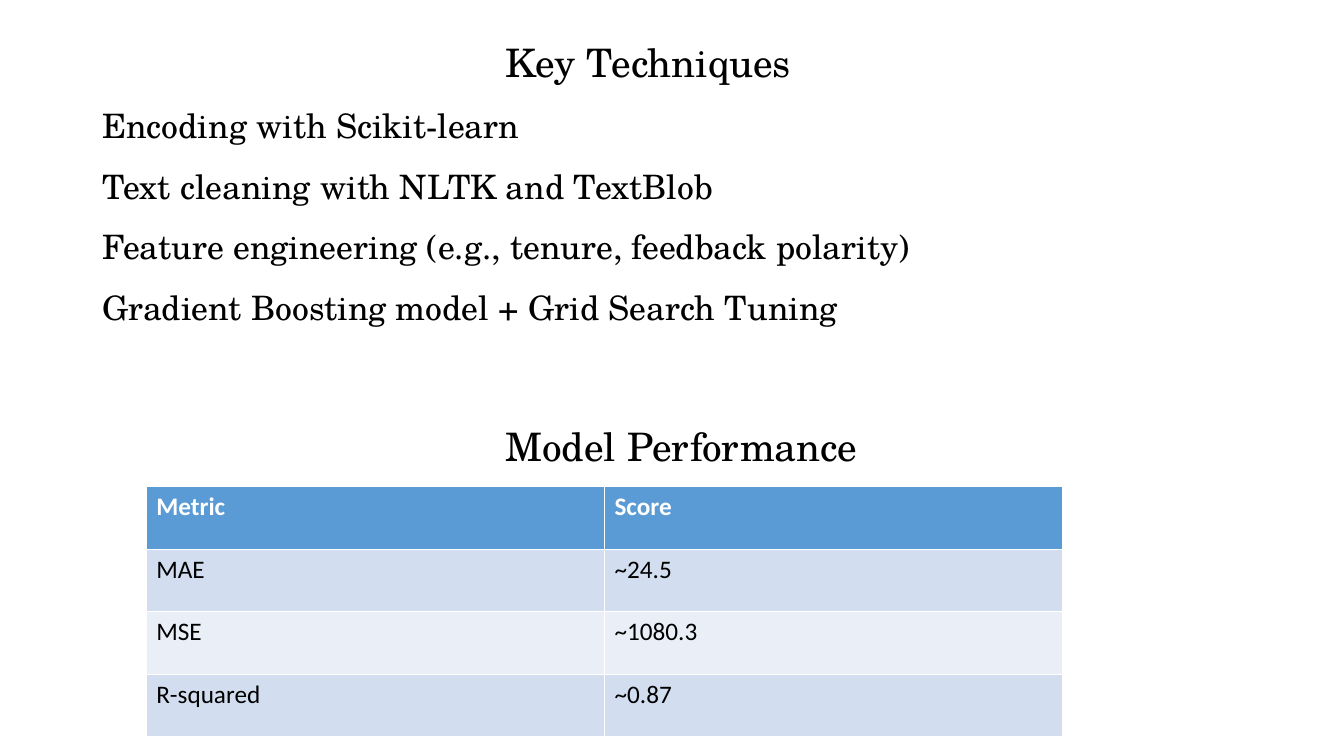
from pptx import Presentation
from pptx import util as u
from pptx.dml.color import RGBColor
from pptx.enum import text
from pptx.oxml.ns import qn
from lxml import etree

BLACK = RGBColor(0x00, 0x00, 0x00)
WHITE = RGBColor(0xFF, 0xFF, 0xFF)
HEADER_BLUE = RGBColor(0x5B, 0x9B, 0xD5)
BAND_DARK = RGBColor(0xD2, 0xDE, 0xEF)
BAND_LIGHT = RGBColor(0xEA, 0xEF, 0xF7)

TECHNIQUES = [
    "Encoding with Scikit-learn",
    "Text cleaning with NLTK and TextBlob",
    "Feature engineering (e.g., tenure, feedback polarity)",
    "Gradient Boosting model + Grid Search Tuning",
]
SCORES = [
    ("Metric", "Score"),
    ("MAE", "~24.5"),
    ("MSE", "~1080.3"),
    ("R-squared", "~0.87"),
]


class SlideBuilder:
    """Holds the style and current slide; lengths are percentages of the slide size."""

    serif, sans = "TeX Gyre Schola", "Calibri"
    heading_size, list_size, table_size = 28, 24, 18

    def __init__(self):
        self.deck = Presentation()
        self.deck.slide_width = u.Inches(13.33)
        self.deck.slide_height = u.Inches(7.5)
        self.page = self.deck.slides.add_slide(self.deck.slide_layouts[1])

    def area(self, left, top, width, height):
        across, down = self.deck.slide_width / 100, self.deck.slide_height / 100
        return [round(n) for n in (left * across, top * down, width * across, height * down)]

    def style(self, para, name, size, color, bold=False):
        font = para.font
        font.name, font.size, font.bold = name, u.Pt(size), bold
        font.color.rgb = color

    def fill_box(self, box, area, lines, size, gap=0):
        box.left, box.top, box.width, box.height = self.area(*area)
        frame = box.text_frame
        frame.text = "\n".join(lines)
        frame.word_wrap = True
        frame.auto_size = text.MSO_AUTO_SIZE.NONE
        frame.vertical_anchor = text.MSO_ANCHOR.TOP
        frame.margin_left = frame.margin_right = frame.margin_top = frame.margin_bottom = 0
        for para in frame.paragraphs:
            para.alignment = text.PP_ALIGN.LEFT
            para.line_spacing = 1.0
            para.space_before, para.space_after = u.Pt(0), u.Pt(gap)
            self.style(para, self.serif, size, BLACK)

    def title(self, area, line):
        self.fill_box(self.page.shapes.title, area, [line], self.heading_size)

    def heading(self, area, line):
        box = self.page.shapes.add_textbox(*self.area(*area))
        self.fill_box(box, area, [line], self.heading_size)

    def plain_list(self, area, lines):
        box = self.page.placeholders[1]
        self.fill_box(box, area, lines, self.list_size, gap=14.4)
        for para in box.text_frame.paragraphs:
            props = para._p.get_or_add_pPr()
            props.set("marL", "0")
            props.set("indent", "0")
            etree.SubElement(props, qn("a:buNone"))
            props.append(props.find(qn("a:defRPr")))

    def table(self, area, rows):
        grid = self.page.shapes.add_table(len(rows), len(rows[0]), *self.area(*area)).table
        for i, row in enumerate(rows):
            header = i == 0
            fill = HEADER_BLUE if header else (BAND_LIGHT, BAND_DARK)[i % 2]
            for j, value in enumerate(row):
                cell = grid.cell(i, j)
                cell.text = value
                cell.fill.solid()
                cell.fill.fore_color.rgb = fill
                self.style(cell.text_frame.paragraphs[0], self.sans, self.table_size,
                           WHITE if header else BLACK, header)


def main():
    slide = SlideBuilder()
    slide.title((37.6, 5.1, 50, 7), "Key Techniques")
    slide.plain_list((7.6, 13.9, 84, 34), TECHNIQUES)
    slide.heading((37.6, 55.8, 50, 7), "Model Performance")
    slide.table((10.88, 64.4, 68.2, 33.07), SCORES)
    slide.deck.save("out.pptx")


if __name__ == "__main__":
    main()
